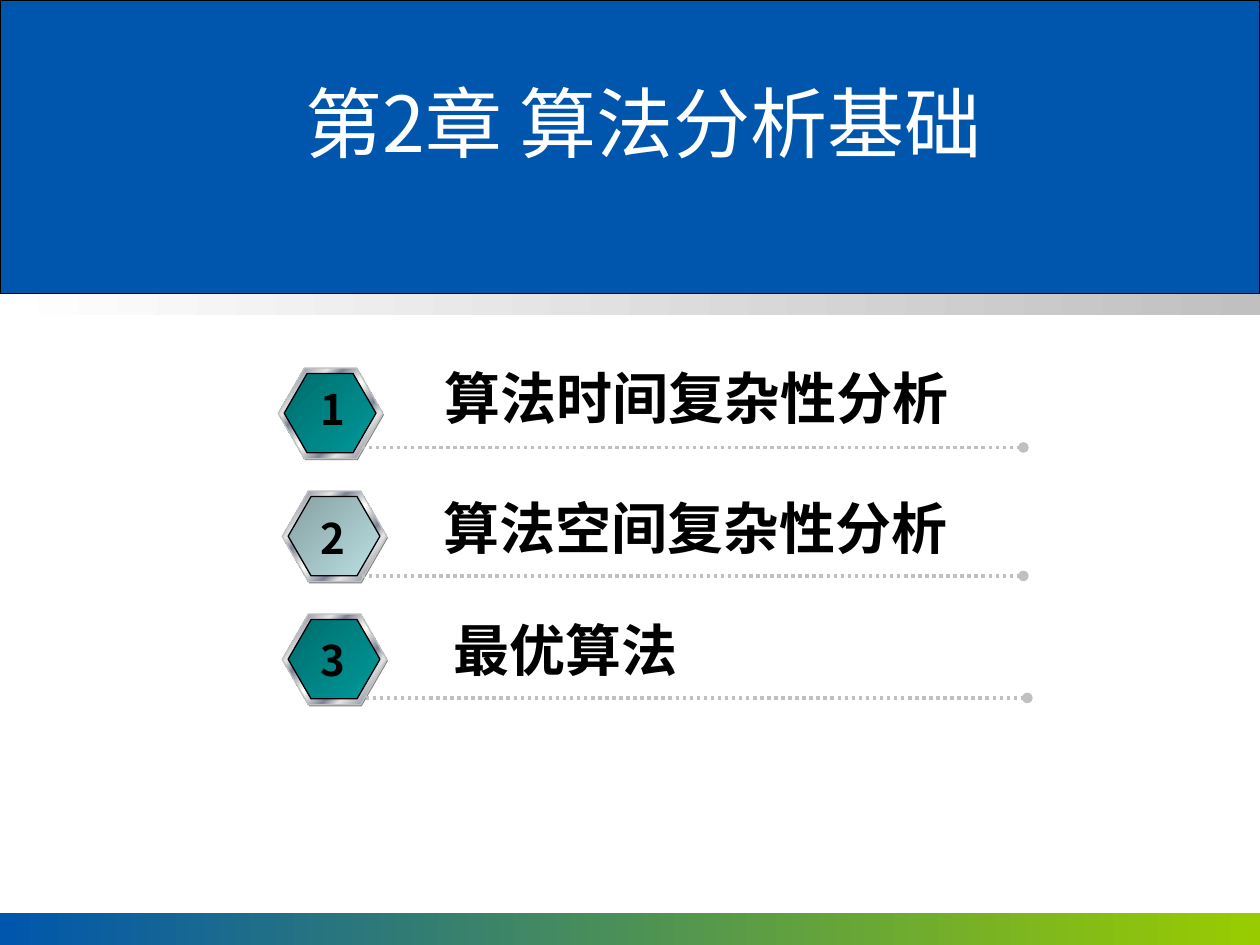
from lxml.etree import SubElement
from pptx import Presentation
from pptx.dml.color import RGBColor
from pptx.enum.dml import MSO_LINE
from pptx.enum.shapes import MSO_CONNECTOR, MSO_SHAPE
from pptx.enum.text import MSO_ANCHOR, PP_ALIGN
from pptx.oxml.ns import qn
from pptx.util import Cm, Pt

FONT = "Noto Sans CJK SC"
BLUE, GREEN, SILVER, BLACK, WHITE = "0056AC", "99CC00", "C0C0C0", "000000", "FFFFFF"
TEAL = [(0, "006D6D"), (100, "009999")]
PALE = [(0, "86A0A2"), (100, "BBE0E3")]
METAL = [(0, "E6E6E6"), (8, "7D8496"), (26, "E6E6E6"), (34, "7D8496"),
         (46, "E6E6E6"), (50, WHITE), (54, "E6E6E6"), (66, "7D8496"),
         (74, "E6E6E6"), (92, "7D8496"), (100, "E6E6E6")]

WIDTH, HEIGHT = 25.4, 19.05
BANNER_H, STRIP_H, FOOTER_H = 5.92, 0.43, 0.64
TITLE = "第2章 算法分析基础"
# label, badge colours, badge left, rule left, rule y, label left, label top, label width
CHAPTERS = [
    ("算法时间复杂性分析", TEAL, 5.61, 7.29, 9.02, 8.71, 7.21, 11.2),
    ("算法空间复杂性分析", PALE, 5.69, 7.29, 11.61, 8.69, 9.83, 15.14),
    ("最优算法", TEAL, 5.69, 7.37, 14.07, 8.89, 12.29, 11.2),
]
BADGE_TOP, BADGE_PITCH = 7.42, 2.48
BADGE_W, BADGE_H = 2.11, 1.83
RULE_LENGTH = 13.34


def rgb(value):
    return RGBColor.from_string(value)


def paint(sp, fill, line=None, angle=0):
    """Fill with a colour or a list of (percent, colour) stops; angle runs clockwise."""
    sp.shadow.inherit = False
    if isinstance(fill, str):
        sp.fill.solid()
        sp.fill.fore_color.rgb = rgb(fill)
    else:
        sp.fill.gradient()
        sp.fill.gradient_angle = -angle % 360
        stops = sp._element.spPr.find(qn("a:gradFill")).find(qn("a:gsLst"))
        for old in list(stops):
            stops.remove(old)
        for percent, color in fill:
            stop = SubElement(stops, qn("a:gs"), pos=str(percent * 1000))
            SubElement(stop, qn("a:srgbClr"), val=color)
    if line:
        sp.line.color.rgb = rgb(line)
        sp.line.width = Pt(0.75)
    else:
        sp.line.fill.background()


def add_band(shapes, top, height, fill, line=None):
    sp = shapes.add_shape(MSO_SHAPE.RECTANGLE, 0, Cm(top), Cm(WIDTH), Cm(height))
    paint(sp, fill, line)


def add_badge(shapes, left, top, colors):
    group = shapes.add_group_shape()
    layers = [
        (0.02, 0.03, BADGE_W, BADGE_H, "808080", None),
        (0, 0, BADGE_W, BADGE_H, METAL, SILVER),
        (0.12, 0.11, 1.85, 1.6, colors, BLACK),
    ]
    for dx, dy, w, h, fill, line in layers:
        sp = group.shapes.add_shape(MSO_SHAPE.HEXAGON, Cm(left + dx), Cm(top + dy), Cm(w), Cm(h))
        sp.adjustments[0] = 0.289
        paint(sp, fill, line, 45)


def add_rule(shapes, left, y):
    rule = shapes.add_connector(MSO_CONNECTOR.STRAIGHT, Cm(left), Cm(y), Cm(left + RULE_LENGTH), Cm(y))
    rule.line.color.rgb = rgb(SILVER)
    rule.line.width = Pt(2)
    rule.line.dash_style = MSO_LINE.ROUND_DOT
    SubElement(rule.line._get_or_add_ln(), qn("a:tailEnd"), type="oval")
    SubElement(rule._element.spPr, qn("a:effectLst"))


def add_text(shapes, text, box, size, color=BLACK, bold=True, align=PP_ALIGN.LEFT, wrap=True):
    tf = shapes.add_textbox(*map(Cm, box)).text_frame
    tf.word_wrap = wrap
    tf.vertical_anchor = MSO_ANCHOR.TOP
    p = tf.paragraphs[0]
    p.alignment = align
    r = p.add_run()
    r.text = text
    r.font.name = FONT
    r.font.size = Pt(size)
    r.font.bold = bold
    r.font.color.rgb = rgb(color)
    SubElement(r._r.get_or_add_rPr(), qn("a:ea"), typeface=FONT)


def main():
    prs = Presentation()
    prs.slide_width, prs.slide_height = Cm(WIDTH), Cm(HEIGHT)
    shapes = prs.slides.add_slide(prs.slide_layouts[6]).shapes

    add_band(shapes, 0, BANNER_H, BLUE, BLACK)
    add_band(shapes, HEIGHT - FOOTER_H, FOOTER_H, [(0, BLUE), (100, GREEN)])
    add_band(shapes, BANNER_H, STRIP_H, [(0, WHITE), (100, SILVER)])
    add_text(shapes, TITLE, (3.35, 1.4, 19.25, 2.13), 44, WHITE, False, PP_ALIGN.CENTER)

    for i, (label, colors, badge_x, rule_x, rule_y, label_x, label_y, label_w) in enumerate(CHAPTERS):
        add_badge(shapes, badge_x, BADGE_TOP + i * BADGE_PITCH, colors)
        add_rule(shapes, rule_x, rule_y)
        add_text(shapes, str(i + 1), (6.22, rule_y - 1.41, 0.99, 1.27), 24, wrap=False)
        add_text(shapes, label, (label_x, label_y, label_w, 1.63), 32)

    prs.save("out.pptx")


if __name__ == "__main__":
    main()
